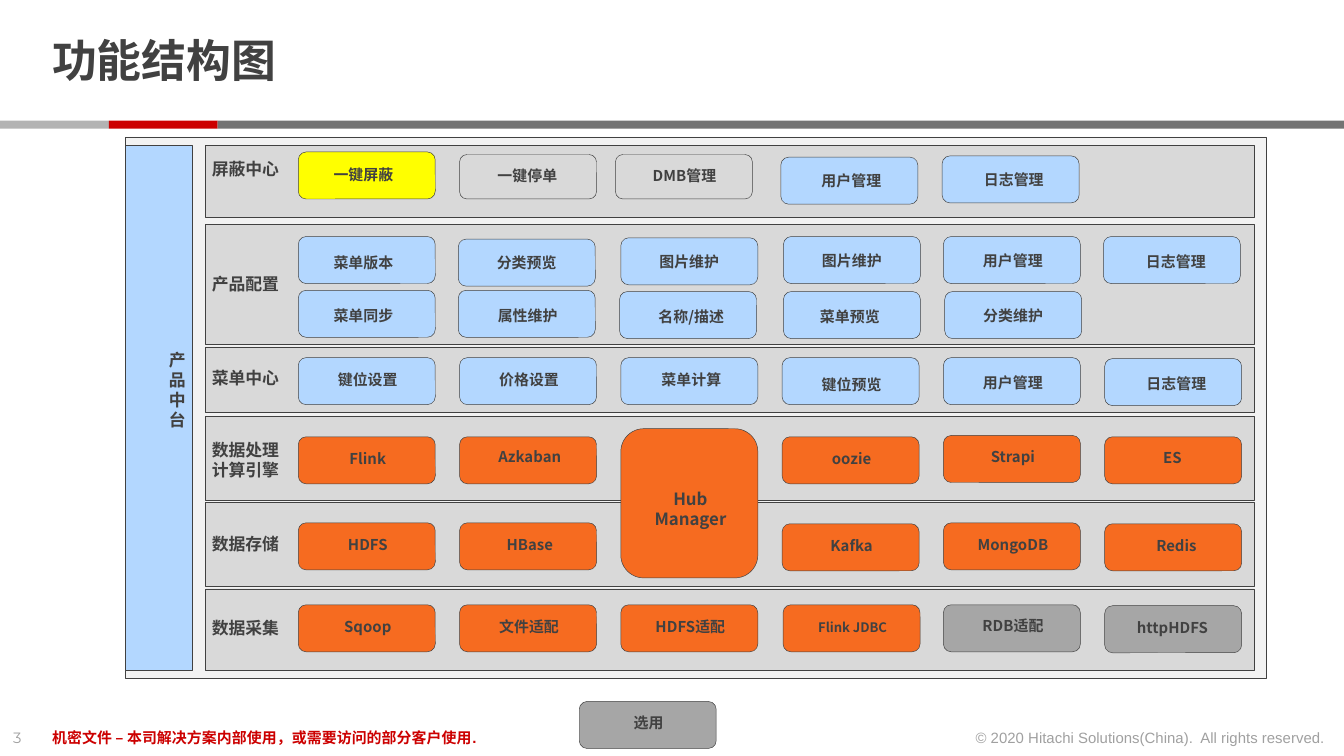
from dataclasses import dataclass

from lxml import etree
from pptx import Presentation
from pptx.dml.color import RGBColor
from pptx.enum import shapes, text
from pptx.oxml import ns
from pptx.util import Pt

CJK = "Noto Sans CJK SC"
DARK, PALE, RED, MUTED = "414141", "D9D9D9", "CC0000", "A0A0A0"
BLUE, ORANGE, GREY, YELLOW = "B3D7FF", "F66B20", "A6A6A6", "FFFF00"
TILE_WIDTH, TILE_HEIGHT, TILE_STEP = 73.4, 25.2, 86.4
LABEL_WIDTH = 56.9
RECT = shapes.MSO_SHAPE.RECTANGLE
ROUND = shapes.MSO_SHAPE.ROUNDED_RECTANGLE
CENTER, RIGHT = text.PP_ALIGN.CENTER, text.PP_ALIGN.RIGHT


@dataclass
class Tile:
    """A module; shift moves the tile in its cell, label places its text (None: inside the shape)."""
    name: str
    fill: str = BLUE
    shift: tuple = (0, 0)
    label: tuple = (8.8, 3.2)
    height: float = TILE_HEIGHT
    size: float = 8


@dataclass
class Layer:
    """A band; label_top and the line tops are measured from the top of the band."""
    name: str
    top: float
    height: float
    label_top: float
    lines: list


LAYERS = [
    Layer("屏蔽中心", 77.8, 38.9, 3.6, [(5, [
        Tile("一键屏蔽", YELLOW, (0, -1.4), (6.5, 3.6)),
        Tile("一键停单", None, label=(7.9, 2.9), height=23.8),
        Tile("DMB管理", None, (-2.9, 0), (8.6, 2.9), 23.8),
        Tile("用户管理", shift=(-0.7, 1.4), label=(9.4, 4.3)),
        Tile("日志管理", shift=(-0.7, 0.7), label=(10, 4.3))])]),
    Layer("产品配置", 120.2, 64.1, 23, [
        (6.5, [
            Tile("菜单版本", label=(6.5, 5.4)),
            Tile("分类预览", shift=(-0.7, 1.4), label=None),
            Tile("图片维护", shift=(0, 0.7), label=None),
            Tile("图片维护", shift=(0.7, 0), label=None),
            Tile("用户管理", label=(8.8, 4.3)),
            Tile("日志管理", shift=(-0.7, 0), label=(10.4, 5))]),
        (35.3, [
            Tile("菜单同步", label=(6.5, 5)),
            Tile("属性维护", shift=(-0.7, 0), label=(8.8, 5)),
            Tile("名称/描述", shift=(-0.7, 0.7), label=(10, 5)),
            Tile("菜单预览", shift=(0.7, 0.7), label=(7.2, 5)),
            Tile("分类维护", shift=(0.7, 0.7), label=None)])]),
    Layer("菜单中心", 185.8, 35.3, 7.9, [(5.8, [
        Tile("键位设置"),
        Tile("价格设置"),
        Tile("菜单计算", label=(9.4, 3.6)),
        Tile("键位预览", label=(8.8, 5.8)),
        Tile("用户管理", label=(8.8, 5)),
        Tile("日志管理", shift=(0, 0.5), label=(10, 5))])]),
    Layer("数据处理\n计算引擎", 223.2, 44.6, 8.6, [(10.8, [
        Tile("Flink", ORANGE),
        Tile("Azkaban", ORANGE, label=(9.2, 2.2)),
        Tile("Hub\nManager", ORANGE, (0, -4.3), (8.8, 28.8), 79.9, 9),
        Tile("oozie", ORANGE),
        Tile("Strapi", ORANGE, (0, -0.7)),
        Tile("ES", ORANGE, label=(7.9, 2.9))])]),
    Layer("数据存储", 269.3, 44.6, 13, [(10.8, [
        Tile("HDFS", ORANGE),
        Tile("HBase", ORANGE, label=(9.2, 3.4)),
        None,
        Tile("Kafka", ORANGE, (0, 0.5)),
        Tile("MongoDB", ORANGE),
        Tile("Redis", ORANGE, (0, 0.5), (10, 3.2))])]),
    Layer("数据采集", 315.4, 43.9, 12.2, [(8.6, [
        Tile("Sqoop", ORANGE),
        Tile("文件适配", ORANGE),
        Tile("HDFS适配", ORANGE),
        Tile("Flink JDBC", ORANGE, (0.5, 0), (8.8, 4.3), size=7),
        Tile("RDB适配", GREY, label=(8.8, 2.9)),
        Tile("httpHDFS", GREY, (0, 0.5), (7.9, 3.2))])]),
]


def color(value):
    return RGBColor.from_string(value)


def apply(target, **values):
    for name, value in values.items():
        setattr(target, name, value)


def write(frame, words, size=8, font=CJK, fill=DARK, bold=True, align=CENTER, spacing=None):
    for index, line in enumerate(words.split("\n")):
        paragraph = frame.add_paragraph() if index else frame.paragraphs[0]
        apply(paragraph, alignment=align, line_spacing=spacing or Pt(1.2 * size))
        run = paragraph.add_run()
        run.text = line
        apply(run.font, size=Pt(size), name=font, bold=bold)
        run.font.color.rgb = color(fill)
        east_asian = etree.SubElement(run.font._element, ns.qn("a:ea"))
        east_asian.set("typeface", CJK)


def add_text(slide, box, words, inset=0, anchor=text.MSO_ANCHOR.TOP, margin=3.6, **style):
    frame = slide.shapes.add_textbox(*map(Pt, box)).text_frame
    apply(frame, word_wrap=True, vertical_anchor=anchor,
          margin_left=Pt(inset), margin_right=Pt(inset),
          margin_top=Pt(margin), margin_bottom=Pt(margin))
    write(frame, words, **style)


def add_block(slide, box, fill, kind=RECT, outlined=True):
    shape = slide.shapes.add_shape(kind, *map(Pt, box))
    shape.shadow.inherit = False
    if fill:
        shape.fill.solid()
        shape.fill.fore_color.rgb = color(fill)
    else:
        shape.fill.background()
    if outlined:
        shape.line.color.rgb = color(DARK)
        shape.line.width = Pt(0.25)
    else:
        shape.line.fill.background()
    return shape


def add_tile(slide, left, top, tile):
    left, top = left + tile.shift[0], top + tile.shift[1]
    shape = add_block(slide, (left, top, TILE_WIDTH, tile.height), tile.fill, ROUND)
    if tile.label:
        box = (left + tile.label[0], top + tile.label[1], LABEL_WIDTH, 16.6)
        add_text(slide, box, tile.name, size=tile.size)
    else:
        shape.text_frame.vertical_anchor = text.MSO_ANCHOR.MIDDLE
        write(shape.text_frame, tile.name, size=tile.size)


def add_header(slide, box):
    left, top, width, height = box
    add_text(slide, (left + 20.9, top + 7.9, 555, 52.6), "功能结构图", inset=7.2, margin=0,
             anchor=text.MSO_ANCHOR.MIDDLE, size=24, align=None, spacing=0.85)
    step = 58.3
    for index, (fill, length) in enumerate([("B3B3B3", step), (RED, step),
                                            ("737373", width - 2 * step)]):
        bar = (left + index * step, top + height - 4.3, length, 4.3)
        add_block(slide, bar, fill, outlined=False)


def add_layers(slide, box):
    left, top, width, height = box
    add_block(slide, box, "F2F2F2")
    add_block(slide, (left, top + 4.4, 36, 281.5), BLUE)
    add_text(slide, (left + 20.5, 183.6, 15, 58.3), "产\n品\n中\n台", size=9)
    for layer in LAYERS:
        add_block(slide, (left + 43.2, layer.top, 561.6, layer.height), PALE)
        label_box = (left + 36, layer.top + layer.label_top, LABEL_WIDTH, 18)
        add_text(slide, label_box, layer.name, size=9)
    for layer in LAYERS:
        for line_top, tiles in layer.lines:
            for column, tile in enumerate(tiles):
                if tile:
                    add_tile(slide, left + 92.8 + column * TILE_STEP, layer.top + line_top, tile)


def add_footer(slide, box):
    left, top, width, height = box
    add_text(slide, (left, top + 0.4, 24.5, height), "3", inset=7.2,
             font="Montserrat", fill=MUTED, bold=False, align=None)
    add_text(slide, (left + 20.9, top, 485, height),
             "机密文件 – 本司解决方案内部使用，或需要访问的部分客户使用.",
             inset=7.2, font="Arial", fill=RED, align=None)
    add_text(slide, (left + width - 207.4, top, 204.5, height),
             "© 2020 Hitachi Solutions(China).  All rights reserved.",
             inset=7.2, font="Arial", fill=MUTED, bold=False, align=RIGHT)


def main():
    presentation = Presentation()
    apply(presentation, slide_width=Pt(720), slide_height=Pt(405))
    slide = presentation.slides.add_slide(presentation.slide_layouts[6])
    add_header(slide, (0, 0, 720, 69))
    add_layers(slide, (67, 73.4, 611.3, 289.8))
    add_tile(slide, 310.3, 375.8, Tile("选用", GREY))
    add_footer(slide, (0, 386.6, 720, 17.3))
    presentation.save("out.pptx")


if __name__ == "__main__":
    main()
